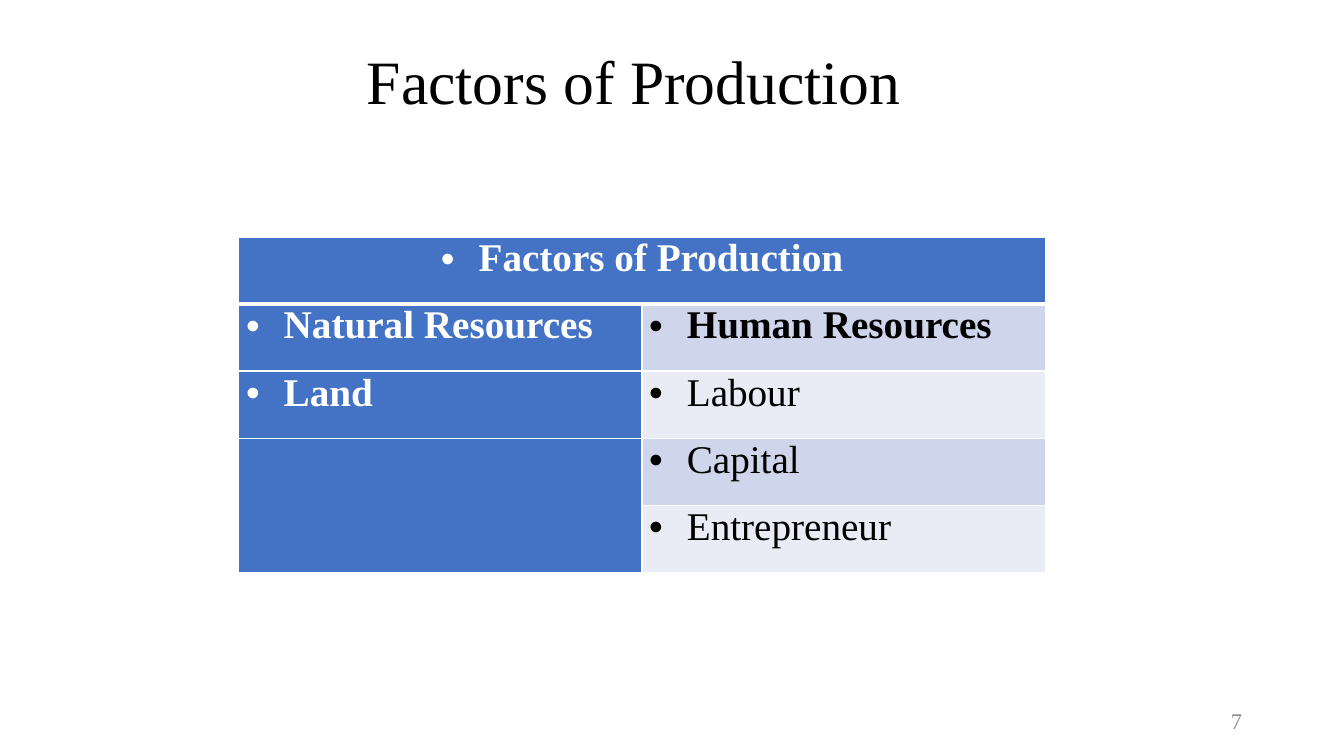
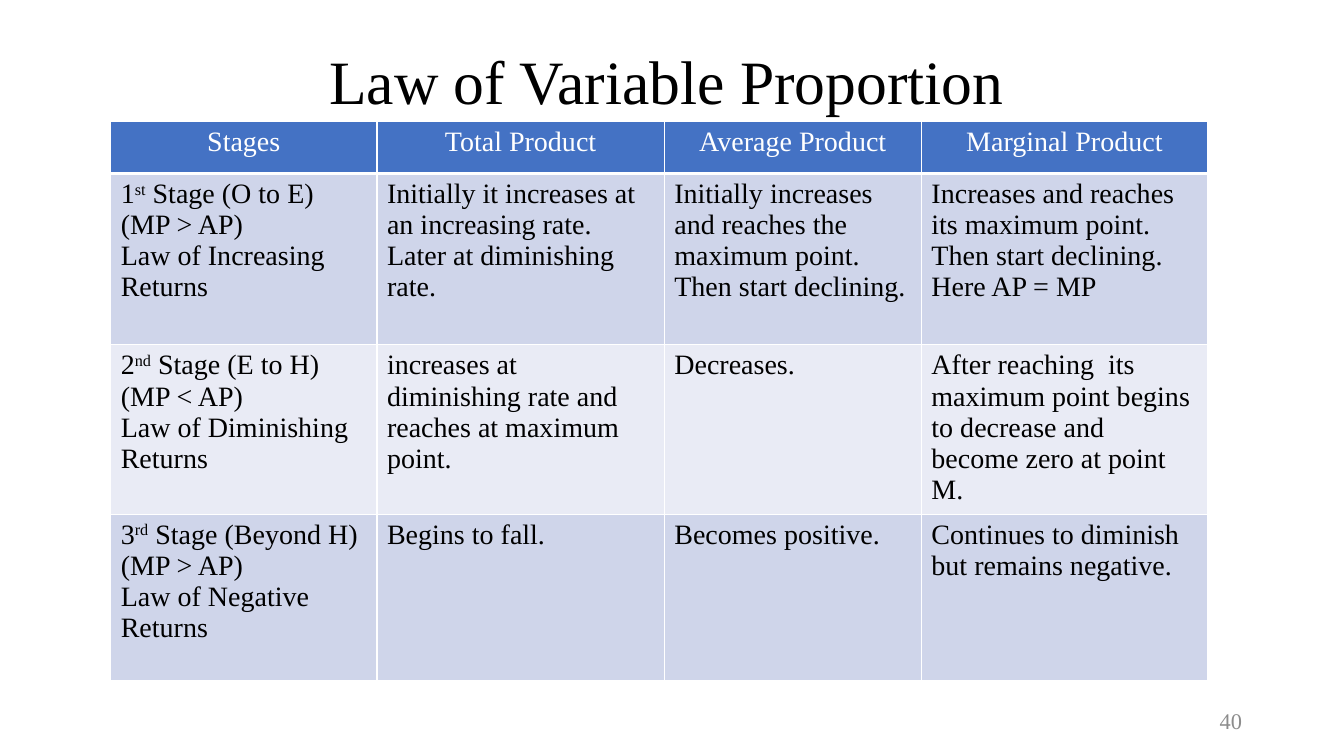
from dataclasses import dataclass

import pptx
import pptx.dml.color
import pptx.enum.text
import pptx.oxml
import pptx.oxml.ns
import pptx.util

Cm = pptx.util.Cm
Pt = pptx.util.Pt
Align = pptx.enum.text.PP_ALIGN
Anchor = pptx.enum.text.MSO_ANCHOR


@dataclass(frozen=True)
class Theme:
    font: str = "Times New Roman"
    ink: str = "000000"
    white: str = "FFFFFF"
    head: str = "4472C4"
    bands: tuple[str, str] = ("CFD5EA", "E9EBF5")
    gray: str = "8C8C8C"
    title: int = 44
    page: int = 16
    thin: int = 1
    thick: int = 3


@dataclass(frozen=True)
class Box:
    left: float
    top: float
    width: float
    height: float

    def place(self) -> tuple[int, ...]:
        return tuple(Cm(n) for n in (self.left, self.top, self.width, self.height))


@dataclass(frozen=True)
class Grid:
    left: float
    top: float
    cols: tuple[float, ...]
    rows: tuple[float, ...]
    cells: tuple[tuple[str, ...], ...]
    size: int
    spans: tuple[tuple[int, int, int, int], ...] = ()
    lead: bool = False
    list: bool = False


@dataclass(frozen=True)
class Page:
    title: str
    frame: Box
    grid: Grid
    number: str


THEME = Theme()
FOOT = Box(23.93, 17.65, 7.62, 1.02)

PAGES = (
    Page(
        "Factors of Production",
        Box(4.19, 1.02, 23.57, 2.24),
        Grid(
            6.02, 5.97, (10.16,) * 2, (1.69,) * 5,
            (
                ("Factors of Production", ""),
                ("Natural Resources", "Human Resources"),
                ("Land", "Labour"),
                ("", "Capital"),
                ("", "Entrepreneur"),
            ),
            28, spans=((0, 0, 0, 1), (3, 0, 4, 0)), lead=True, list=True,
        ),
        "7",
    ),
    Page(
        "Law of Variable Proportion",
        Box(3.18, 1.02, 27.25, 2.21),
        Grid(
            2.79, 3.07, (6.71, 7.24, 6.48, 7.21), (1.3, 4.32, 4.27, 4.19),
            (
                ("Stages", "Total Product", "Average Product", "Marginal Product"),
                (
                    "1^st^ Stage (O to E)\n(MP > AP)\nLaw of Increasing Returns",
                    "Initially it increases at an increasing rate. Later at diminishing rate.",
                    "Initially increases and reaches the maximum point. Then start declining.",
                    "Increases and reaches its maximum point. Then start declining.\nHere AP = MP",
                ),
                (
                    "2^nd^ Stage (E to H)\n(MP < AP)\nLaw of Diminishing Returns",
                    "increases at diminishing rate and reaches at maximum point.",
                    "Decreases.",
                    "After reaching  its maximum point begins to decrease and become zero at point M.",
                ),
                (
                    "3^rd^ Stage (Beyond H)\n(MP > AP)\nLaw of Negative Returns",
                    "Begins to fall.",
                    "Becomes positive.",
                    "Continues to diminish but remains negative.",
                ),
            ),
            20,
        ),
        "40",
    ),
)


def shade(code: str) -> pptx.dml.color.RGBColor:
    return pptx.dml.color.RGBColor.from_string(code)


def add_runs(para, text: str, size: int, tint: str, bold: bool = False) -> None:
    for spot, part in enumerate(text.split("^")):
        run = para.add_run()
        run.text = part
        run.font.name = THEME.font
        run.font.size = Pt(size)
        run.font.bold = bold
        run.font.color.rgb = shade(tint)
        if spot % 2:
            run.font._element.set("baseline", "30000")


def add_dot(para) -> None:
    props = para._p.get_or_add_pPr()
    props.set("marL", str(Cm(0.95)))
    props.set("indent", str(-Cm(0.95)))
    space = pptx.oxml.ns.nsdecls("a")
    props.append(pptx.oxml.parse_xml(f'<a:buFont {space} typeface="Arial"/>'))
    props.append(pptx.oxml.parse_xml(f'<a:buChar {space} char="•"/>'))


def add_edges(cell, row: int) -> None:
    props = cell._tc.get_or_add_tcPr()
    space = pptx.oxml.ns.nsdecls("a")
    heavy = {("T", 1), ("B", 0)}
    for side in "LRTB":
        width = Pt(THEME.thick if (side, row) in heavy else THEME.thin)
        props.append(pptx.oxml.parse_xml(
            f'<a:ln{side} {space} w="{width}"><a:solidFill>'
            f'<a:srgbClr val="{THEME.white}"/></a:solidFill></a:ln{side}>'
        ))


def fill_cell(cell, grid: Grid, row: int, col: int) -> None:
    head = row == 0 or (grid.lead and col == 0)
    bold = grid.lead and (head or row == 1)
    add_edges(cell, row)
    cell.fill.solid()
    cell.fill.fore_color.rgb = shade(THEME.head if head else THEME.bands[(row - 1) % 2])
    if grid.list:
        cell.margin_left = cell.margin_right = Cm(0.18)
        cell.margin_top = cell.margin_bottom = 0
    text = grid.cells[row][col]
    if not text:
        return
    frame = cell.text_frame
    for spot, line in enumerate(text.split("\n")):
        para = frame.add_paragraph() if spot else frame.paragraphs[0]
        if grid.list:
            add_dot(para)
        para.alignment = Align.CENTER if row == 0 else Align.LEFT
        add_runs(para, line, grid.size, THEME.white if head else THEME.ink, bold)


def add_grid(slide, grid: Grid) -> None:
    box = Box(grid.left, grid.top, sum(grid.cols), sum(grid.rows))
    table = slide.shapes.add_table(len(grid.rows), len(grid.cols), *box.place()).table
    for col, width in zip(table.columns, grid.cols):
        col.width = Cm(width)
    for row, height in zip(table.rows, grid.rows):
        row.height = Cm(height)
    for top, left, low, right in grid.spans:
        table.cell(top, left).merge(table.cell(low, right))
    for row in range(len(grid.rows)):
        for col in range(len(grid.cols)):
            fill_cell(table.cell(row, col), grid, row, col)


def add_title(slide, page: Page) -> None:
    title = slide.shapes.title
    title.left, title.top, title.width, title.height = page.frame.place()
    title.text_frame.vertical_anchor = Anchor.MIDDLE
    para = title.text_frame.paragraphs[0]
    para.alignment = Align.CENTER
    para.line_spacing = 0.9
    add_runs(para, page.title, THEME.title, THEME.ink)


def add_foot(slide, number: str) -> None:
    frame = slide.shapes.add_textbox(*FOOT.place()).text_frame
    frame.word_wrap = True
    frame.vertical_anchor = Anchor.MIDDLE
    para = frame.paragraphs[0]
    para.alignment = Align.RIGHT
    add_runs(para, number, THEME.page, THEME.gray)


def main() -> None:
    deck = pptx.Presentation()
    deck.slide_width = Cm(33.87)
    deck.slide_height = Cm(19.05)
    for page in PAGES:
        slide = deck.slides.add_slide(deck.slide_layouts[5])
        add_title(slide, page)
        add_grid(slide, page.grid)
        add_foot(slide, page.number)
    deck.save("out.pptx")


if __name__ == "__main__":
    main()
